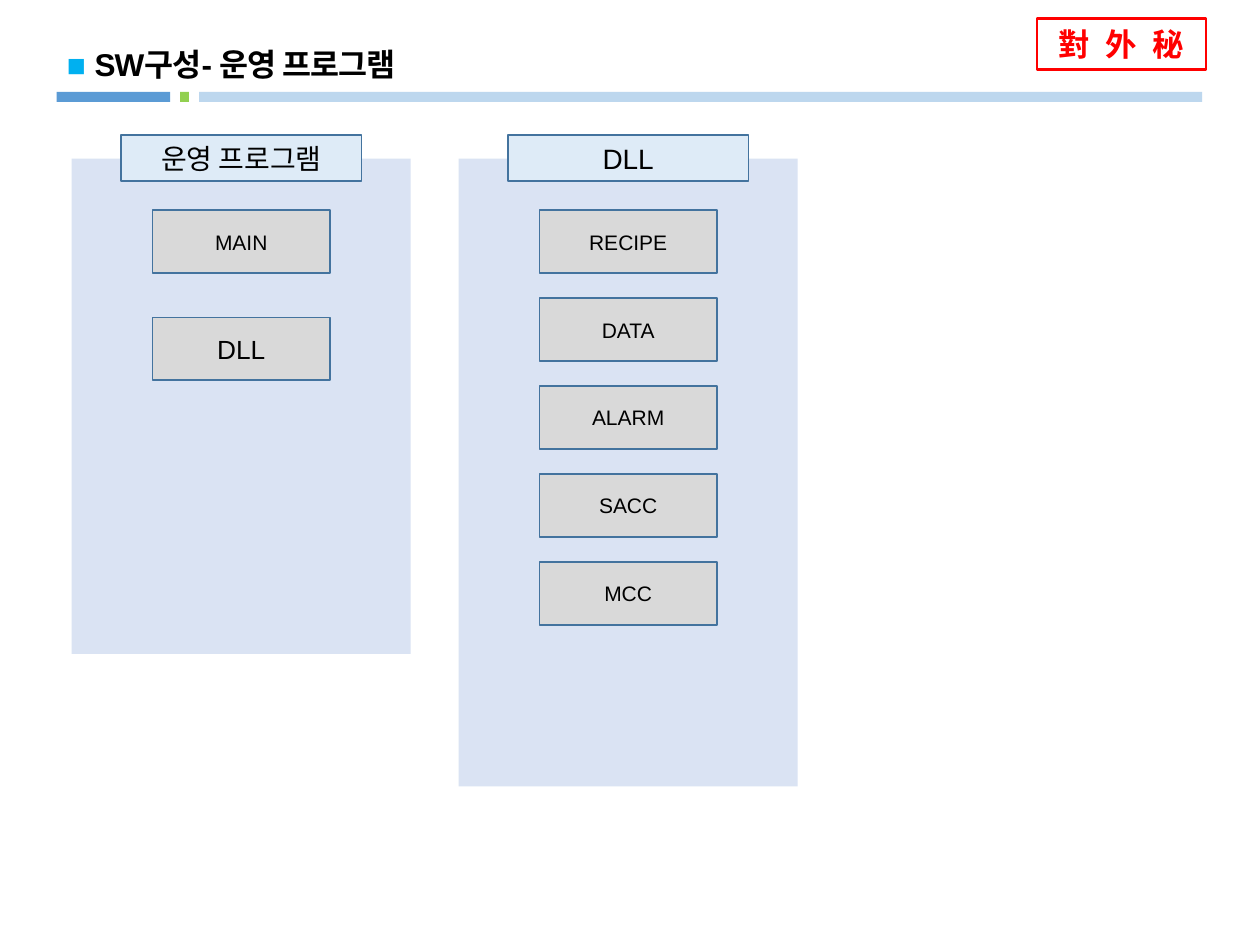
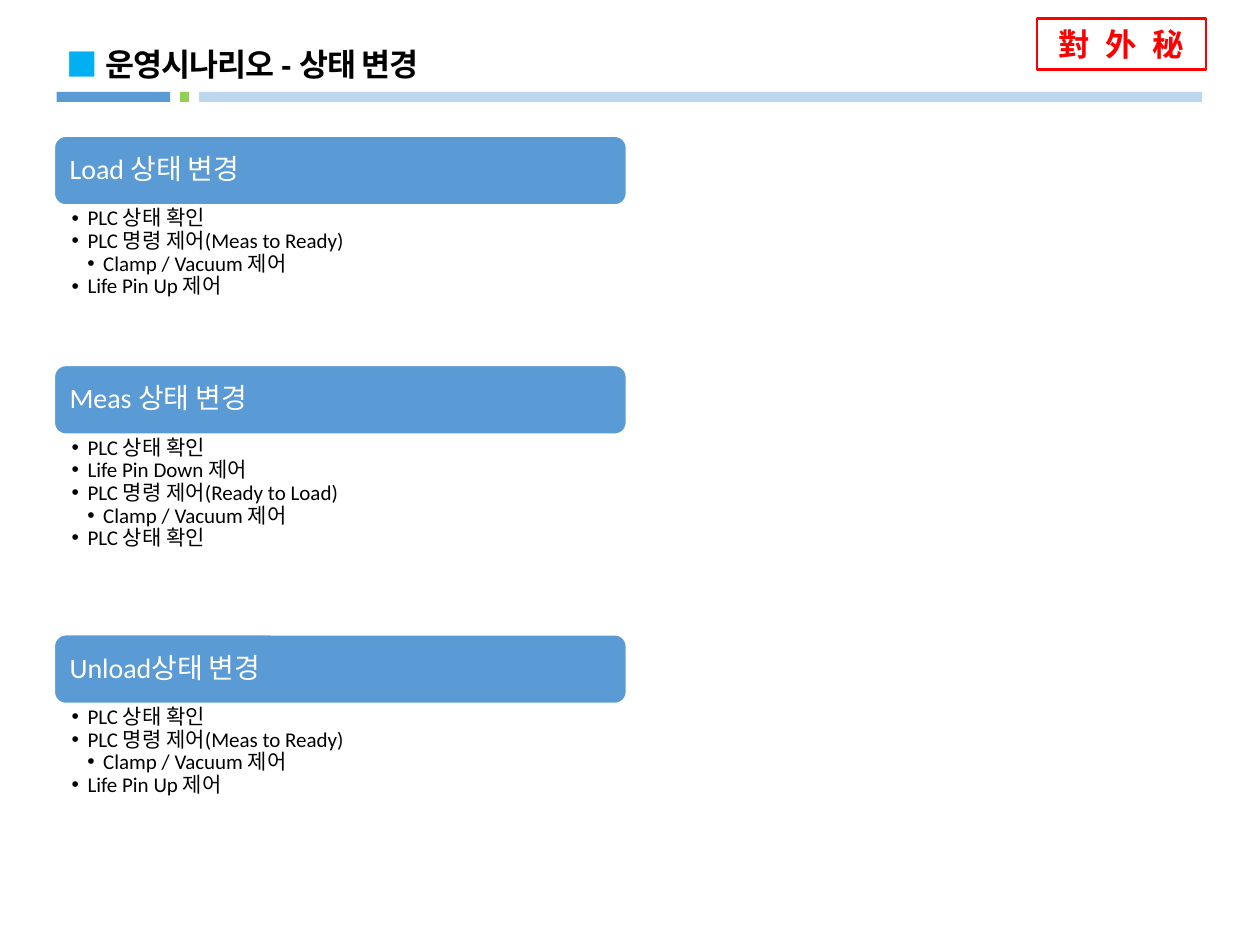
"""Build two slides on the operating software: its modules and its state changes."""
from lxml.etree import SubElement
from pptx import Presentation
from pptx.dml.color import RGBColor
from pptx.enum.shapes import MSO_SHAPE
from pptx.enum.text import MSO_ANCHOR, MSO_AUTO_SIZE, PP_ALIGN
from pptx.oxml.ns import qn
from pptx.util import Pt

BLACK = RGBColor(0x00, 0x00, 0x00)
WHITE = RGBColor(0xFF, 0xFF, 0xFF)
RED = RGBColor(0xFF, 0x00, 0x00)
CYAN = RGBColor(0x00, 0xB0, 0xF0)
BLUE = RGBColor(0x5B, 0x9B, 0xD5)
PALE_BLUE = RGBColor(0xBD, 0xD7, 0xEE)
GREEN = RGBColor(0x92, 0xD0, 0x50)
PANEL_FILL = RGBColor(0xDA, 0xE3, 0xF3)
HEADING_FILL = RGBColor(0xDE, 0xEB, 0xF7)
MODULE_FILL = RGBColor(0xD9, 0xD9, 0xD9)
OUTLINE = RGBColor(0x43, 0x73, 0x9E)

KOREAN_FONT = "Noto Sans CJK KR"
STAMP = "對 外 秘"
BANDS = [(113.8, 573.1, PALE_BLUE), (32.4, 64.8, BLUE), (103, 5, GREEN)]

SOFTWARE_TITLE = "SW구성- 운영 프로그램"
PANELS = [
    {"heading": "운영 프로그램", "left": 41, "height": 283, "step": 61.2,
     "modules": [("MAIN", 12), ("DLL", 15)]},
    {"heading": "DLL", "left": 262.1, "height": 358.6, "step": 50.2,
     "modules": [("RECIPE", 12), ("DATA", 12), ("ALARM", 12), ("SACC", 12), ("MCC", 12)]},
]

SCENARIO_TITLE = "운영시나리오 - 상태 변경"
READY_STEPS = [
    (1, "PLC 상태 확인"),
    (1, "PLC 명령 제어(Meas to Ready)"),
    (2, "Clamp / Vacuum 제어"),
    (1, "Life Pin Up 제어"),
]
LOAD_STEPS = [
    (1, "PLC 상태 확인"),
    (1, "Life Pin Down 제어"),
    (1, "PLC 명령 제어(Ready to Load)"),
    (2, "Clamp / Vacuum 제어"),
    (1, "PLC 상태 확인"),
]
STATES = [
    ("Load 상태 변경", READY_STEPS),
    ("Meas 상태 변경", LOAD_STEPS),
    ("Unload상태 변경", READY_STEPS),
]


def apply(target, **values):
    """Set several attributes of one object."""
    for name, value in values.items():
        setattr(target, name, value)


def add_span(para, text, size, color=BLACK, font="Arial", bold=False, spacing=0):
    """Append a formatted run with a Korean fallback font."""
    span = para.add_run()
    span.text = text
    apply(span.font, name=font, size=Pt(size), bold=bold)
    span.font.color.rgb = color
    properties = span.font._element
    SubElement(properties, qn("a:ea")).set("typeface", KOREAN_FONT)
    if spacing:
        properties.set("spc", str(round(spacing * 100)))


def add_box(page, left, top, width, height, fill=None, line=None, weight=1,
            kind=MSO_SHAPE.RECTANGLE):
    """Draw a flat shape with optional fill and outline."""
    box = page.shapes.add_shape(kind, Pt(left), Pt(top), Pt(width), Pt(height))
    box.shadow.inherit = False
    if fill is None:
        box.fill.background()
    else:
        box.fill.solid()
        box.fill.fore_color.rgb = fill
    if line is None:
        box.line.fill.background()
    else:
        box.line.color.rgb = line
        box.line.width = Pt(weight)
    return box


def add_labelled_box(page, label, size, *place, fill):
    """Draw an outlined box with a centred label."""
    box = add_box(page, *place, fill=fill, line=OUTLINE)
    add_span(box.text_frame.paragraphs[0], label, size)


def decorate_layout(page, layout):
    """Draw the bands and the stamp and hand them over to the layout."""
    parts = [add_box(page, left, 52.5, width, 5.8, fill) for left, width, fill in BANDS]
    stamp = add_box(page, 592.6, 10.6, 96.5, 29, line=RED, weight=1.5)
    add_span(stamp.text_frame.paragraphs[0], STAMP, 18, RED, KOREAN_FONT, True, 2.5)
    for number, part in enumerate(parts + [stamp], 100):
        part.element.xpath(".//p:cNvPr")[0].set("id", str(number))
        layout.shapes.element.append(part.element)


def set_title(page, text, width):
    """Place and format the title with its square marker."""
    title = page.shapes.title
    apply(title, left=Pt(31), top=Pt(20.2), width=Pt(width), height=Pt(31))
    apply(title.text_frame, vertical_anchor=MSO_ANCHOR.TOP, word_wrap=True,
          auto_size=MSO_AUTO_SIZE.NONE)
    para = title.text_frame.paragraphs[0]
    apply(para, alignment=PP_ALIGN.LEFT, line_spacing=1.1)
    add_span(para, "■ ", 18, CYAN, bold=True)
    add_span(para, text, 18, bold=True, spacing=-0.5)


def add_panel(page, heading, left, height, step, modules):
    """Draw a panel with its heading and its column of modules."""
    width, heading_width, module_width = 193.7, 137.5, 101.5
    add_box(page, left, 90.7, width, height, PANEL_FILL)
    add_labelled_box(page, heading, 16, left + (width - heading_width) / 2, 77,
                     heading_width, 26.6, fill=HEADING_FILL)
    for row, (name, size) in enumerate(modules):
        add_labelled_box(page, name, size, left + (width - module_width) / 2,
                         120.2 + row * step, module_width, 36, fill=MODULE_FILL)


def add_bullet(para, level):
    """Indent a paragraph by its level and give it a round bullet."""
    para.level = level
    properties = para._p.get_or_add_pPr()
    properties.set("marL", str(Pt(9 * level)))
    properties.set("indent", str(-Pt(9)))
    SubElement(properties, qn("a:buFont")).set("typeface", "Arial")
    SubElement(properties, qn("a:buChar")).set("char", "•")
    apply(para, line_spacing=0.9, space_after=Pt(0))


def add_states(page):
    """Stack the state headers, each followed by its steps."""
    left, top, width, header_height, step_height = 31, 77.8, 327, 39.4, 22.9
    for name, steps in STATES:
        header = add_box(page, left, top, width, header_height, BLUE, WHITE,
                         kind=MSO_SHAPE.ROUNDED_RECTANGLE)
        apply(header.text_frame, margin_left=Pt(6.9), word_wrap=True)
        para = header.text_frame.paragraphs[0]
        apply(para, alignment=PP_ALIGN.LEFT, line_spacing=0.9)
        add_span(para, name, 16, WHITE, "Calibri")
        top += header_height
        height = step_height * len(steps)
        frame = page.shapes.add_textbox(Pt(left), Pt(top), Pt(width), Pt(height)).text_frame
        apply(frame, word_wrap=True, margin_left=Pt(10), margin_right=Pt(8.6),
              margin_top=Pt(1.5), margin_bottom=Pt(1.5))
        for row, (level, text) in enumerate(steps):
            para = frame.add_paragraph() if row else frame.paragraphs[0]
            add_bullet(para, level)
            add_span(para, text, 12, font="Calibri")
        top += height


def main():
    """Build and save the deck."""
    deck = Presentation()
    apply(deck, slide_width=Pt(720), slide_height=Pt(540))
    layout = deck.slide_layouts[5]

    page = deck.slides.add_slide(layout)
    decorate_layout(page, layout)
    set_title(page, SOFTWARE_TITLE, 516)
    for panel in PANELS:
        add_panel(page, **panel)

    page = deck.slides.add_slide(layout)
    set_title(page, SCENARIO_TITLE, 428)
    add_states(page)
    deck.save("out.pptx")


if __name__ == "__main__":
    main()
